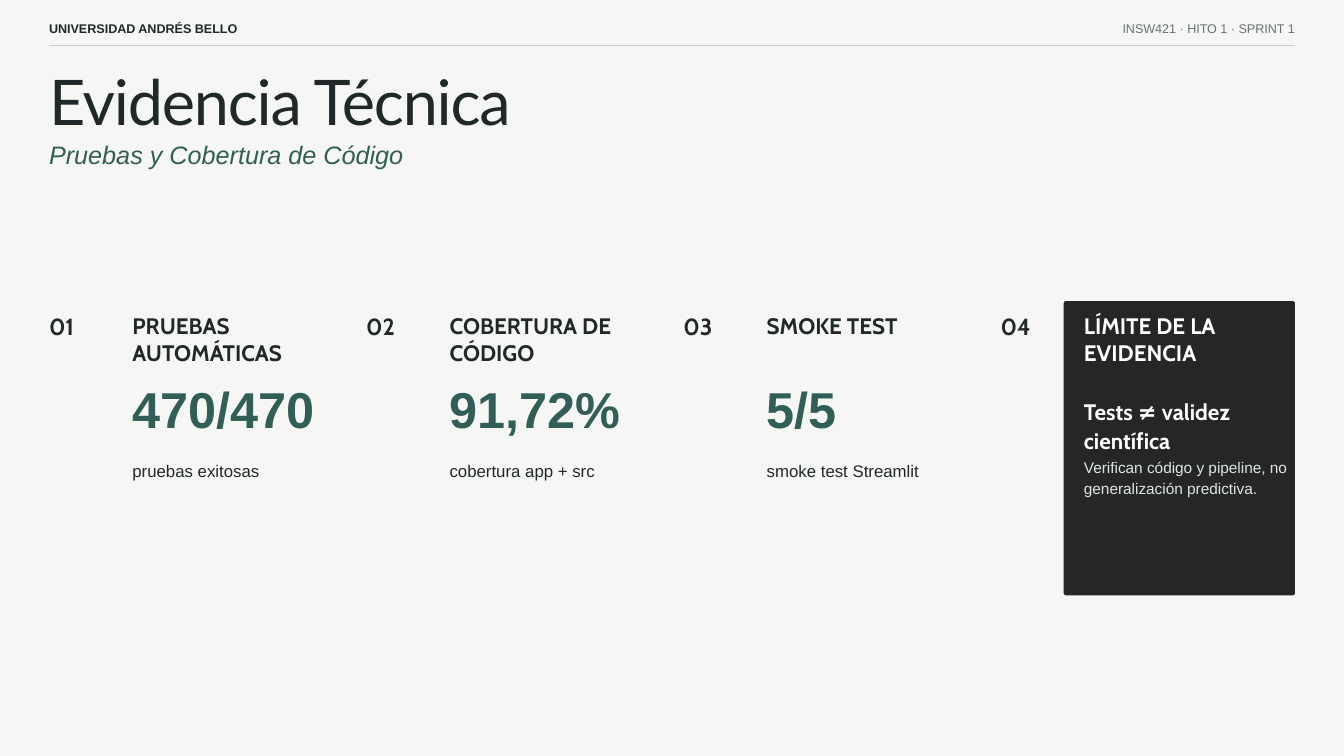
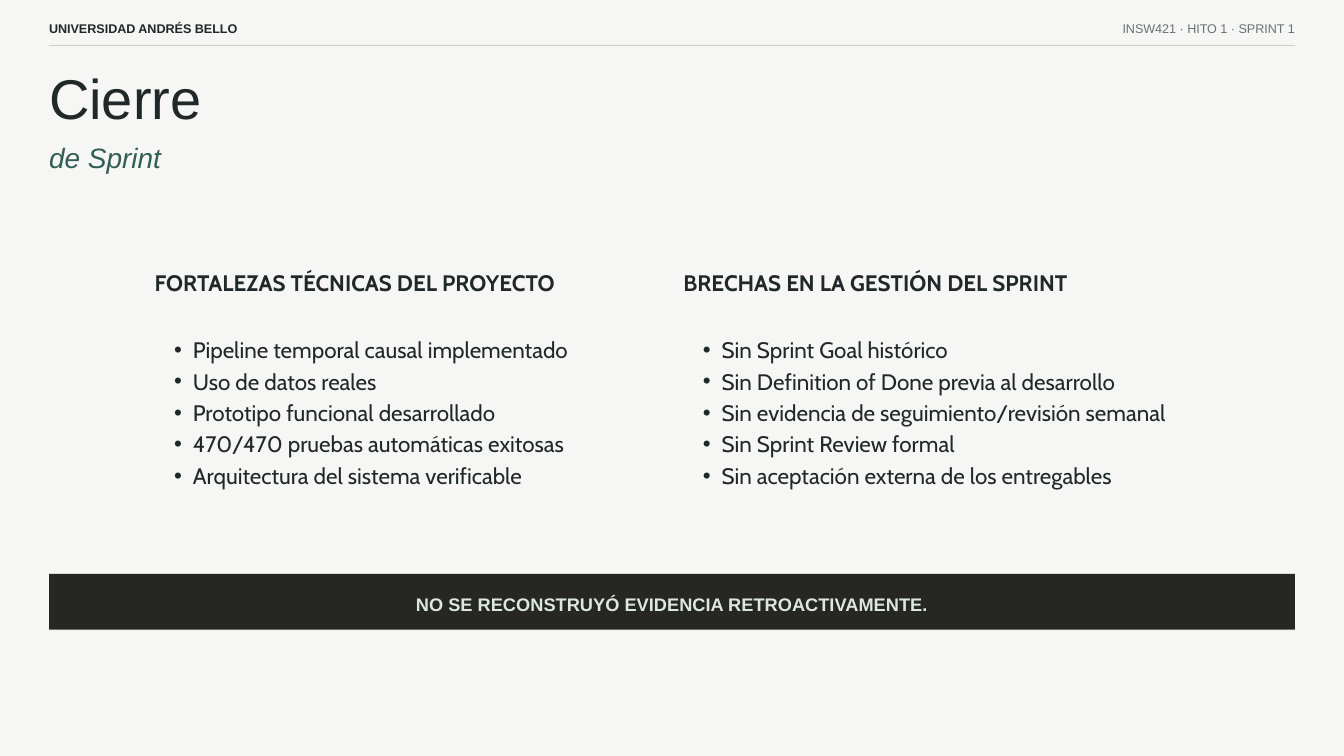
from dataclasses import dataclass

from lxml import etree
from pptx import Presentation
from pptx import util as u
from pptx.dml.color import RGBColor
from pptx.enum import shapes, text
from pptx.oxml.ns import qn
from pptx.util import Inches

# Content
HEADER = ("UNIVERSIDAD ANDRÉS BELLO", "INSW421 · HITO 1 · SPRINT 1")

EVIDENCE = {
    "title": "Evidencia Técnica",
    "subtitle": "Pruebas y Cobertura de Código",
    "metrics": [
        ("PRUEBAS AUTOMÁTICAS", "470/470", "pruebas exitosas"),
        ("COBERTURA DE CÓDIGO", "91,72%", "cobertura app + src"),
        ("SMOKE TEST", "5/5", "smoke test Streamlit"),
    ],
    "limit": ("LÍMITE DE LA EVIDENCIA", "Tests ≠ validez científica",
              "Verifican código y pipeline, no generalización predictiva."),
}

CLOSING = {
    "title": "Cierre",
    "subtitle": "de Sprint",
    "lists": [
        ("FORTALEZAS TÉCNICAS DEL PROYECTO", [
            "Pipeline temporal causal implementado",
            "Uso de datos reales",
            "Prototipo funcional desarrollado",
            "470/470 pruebas automáticas exitosas",
            "Arquitectura del sistema verificable",
        ]),
        ("BRECHAS EN LA GESTIÓN DEL SPRINT", [
            "Sin Sprint Goal histórico",
            "Sin Definition of Done previa al desarrollo",
            "Sin evidencia de seguimiento/revisión semanal",
            "Sin Sprint Review formal",
            "Sin aceptación externa de los entregables",
        ]),
    ],
    "banner": "NO SE RECONSTRUYÓ EVIDENCIA RETROACTIVAMENTE.",
}


# Theme
@dataclass(frozen=True)
class Style:
    font: str
    size: float
    line: float
    color: str
    bold: bool = False
    italic: bool = False
    tracking: float = 0
    align: text.PP_ALIGN = text.PP_ALIGN.LEFT


class Theme:
    paper, ink, green, dark = "F6F7F4", "20282A", "315E56", "262624"
    rule, gray, mint, white = "C7CFCB", "667276", "DCE7E2", "FFFFFF"

    school = Style("Arial", 13.5, 18.9, ink, bold=True)
    course = Style("Arial", 13.5, 18.9, gray, align=text.PP_ALIGN.RIGHT)
    title_evidence = Style("Lato", 67.4, 80.8, ink, tracking=-1.3)
    title_closing = Style("Arial", 60, 84, ink)
    subtitle_evidence = Style("Arial", 27, 37.8, green, italic=True)
    subtitle_closing = Style("Arial", 30, 42, green, italic=True)
    number = Style("Cabin", 25, 30, ink, bold=True)
    heading = Style("Cabin", 24, 28.8, ink, bold=True)
    figure = Style("Arial", 54, 75.6, green, bold=True)
    caption = Style("Arial", 18, 25.2, ink)
    limit_heading = Style("Cabin", 24, 28.8, white, bold=True)
    limit_claim = Style("Cabin", 24, 31.2, white, bold=True)
    limit_note = Style("Arial", 16.5, 23.1, mint)
    bullet = Style("Cabin", 24, 33.6, ink)
    banner = Style("Arial", 19.5, 27.3, mint, bold=True, align=text.PP_ALIGN.CENTER)


# Layout, in inches
PAGE_W, PAGE_H = 20, 11.25
MARGIN = 0.73
CONTENT_W = PAGE_W - 2 * MARGIN
RIGHT = PAGE_W - MARGIN


# Helpers
def rgb(value):
    return RGBColor.from_string(value)


def place(box, left, top, width, height):
    box.left, box.top = Inches(left), Inches(top)
    box.width, box.height = Inches(width), Inches(height)


def add_bullet(para):
    props = para._p.get_or_add_pPr()
    props.set("marL", str(Inches(0.57)))
    props.set("indent", str(Inches(-0.28)))
    etree.SubElement(props, qn("a:buFont")).set("typeface", "Arial")
    etree.SubElement(props, qn("a:buChar")).set("char", "•")


def write(box, wording, style, bulleted=False):
    frame = box.text_frame
    frame.text = wording
    frame.word_wrap = True
    frame.auto_size = text.MSO_AUTO_SIZE.NONE
    frame.vertical_anchor = text.MSO_ANCHOR.TOP
    frame.margin_left = frame.margin_right = 0
    frame.margin_top = frame.margin_bottom = 0
    for para in frame.paragraphs:
        if bulleted:
            add_bullet(para)
        para.alignment = style.align
        para.line_spacing = u.Pt(style.line)
        para.space_before = para.space_after = u.Pt(0)
        for span in para.runs:
            font = span.font
            font.name, font.size = style.font, u.Pt(style.size)
            font.bold, font.italic = style.bold, style.italic
            font.color.rgb = rgb(style.color)
            if style.tracking:
                span._r.get_or_add_rPr().set("spc", str(round(style.tracking * 100)))


def add_text(page, wording, style, left, top, width, height):
    box = page.shapes.add_textbox(0, 0, 0, 0)
    place(box, left, top, width, height)
    write(box, wording, style)


def add_panel(page, kind, left, top, width, height):
    panel = page.shapes.add_shape(kind, 0, 0, 0, 0)
    place(panel, left, top, width, height)
    panel.shadow.inherit = False
    panel.fill.solid()
    panel.fill.fore_color.rgb = rgb(Theme.dark)
    panel.line.fill.background()
    return panel


def add_page(deck, layout, title, title_style, title_top, subtitle, subtitle_style):
    """Add a page with its background, running header, title and subtitle."""
    page = deck.slides.add_slide(deck.slide_layouts[layout])
    page.background.fill.solid()
    page.background.fill.fore_color.rgb = rgb(Theme.paper)

    school, course = HEADER
    header_w = 5.21
    add_text(page, school, Theme.school, MARGIN, 0.27, header_w, 0.26)
    add_text(page, course, Theme.course, RIGHT - header_w, 0.27, header_w, 0.26)
    rule = page.shapes.add_connector(
        shapes.MSO_CONNECTOR.STRAIGHT,
        Inches(MARGIN), Inches(0.68), Inches(RIGHT), Inches(0.68))
    rule.line.color.rgb = rgb(Theme.rule)
    rule.line.width = u.Pt(1.5)
    etree.SubElement(rule._element.spPr, qn("a:effectLst"))

    place(page.shapes.title, MARGIN, title_top, CONTENT_W, 1.14)
    write(page.shapes.title, title, title_style)
    add_text(page, subtitle, subtitle_style, MARGIN, 2, CONTENT_W, 0.55)
    return page


# Slides
def build_evidence(deck):
    page = add_page(deck, 5, EVIDENCE["title"], Theme.title_evidence, 0.93,
                    EVIDENCE["subtitle"], Theme.subtitle_evidence)
    top, pitch, text_offset, text_w = 4.65, 4.72, 1.24, 3.15
    columns = [MARGIN + pitch * i for i in range(4)]

    card_left = 15.83
    card = add_panel(page, shapes.MSO_SHAPE.ROUNDED_RECTANGLE,
                     card_left, 4.48, RIGHT - card_left, 4.38)
    card.adjustments[0] = 0.01

    for number, left in enumerate(columns, 1):
        add_text(page, f"{number:02}", Theme.number, left, top, 0.68, 0.41)

    metric_rows = [(Theme.heading, top, 0.79), (Theme.figure, 5.48, 1.04),
                   (Theme.caption, 6.81, 0.36)]
    limit_rows = [(Theme.limit_heading, top, 0.79), (Theme.limit_claim, 5.89, 0.84),
                  (Theme.limit_note, 6.77, 0.64)]
    blocks = [(metric, metric_rows) for metric in EVIDENCE["metrics"]]
    blocks.append((EVIDENCE["limit"], limit_rows))
    for left, (wordings, rows) in zip(columns, blocks):
        for wording, (style, row_top, height) in zip(wordings, rows):
            add_text(page, wording, style, left + text_offset, row_top, text_w, height)


def build_closing(deck):
    page = add_page(deck, 4, CLOSING["title"], Theme.title_closing, 0.78,
                    CLOSING["subtitle"], Theme.subtitle_closing)

    # Each column fills one heading and one list placeholder
    slots = {slot.placeholder_format.idx: slot for slot in page.placeholders}
    for i, (heading, items) in enumerate(CLOSING["lists"]):
        left = 2.3 + 7.87 * i
        heading_box, list_box = slots[1 + 2 * i], slots[2 + 2 * i]
        place(heading_box, left, 4, 7.53, 0.4)
        write(heading_box, heading, Theme.heading)
        place(list_box, left, 4.94, 7.53, 2.5)
        write(list_box, "\n".join(items), Theme.bullet, bulleted=True)

    add_panel(page, shapes.MSO_SHAPE.RECTANGLE, MARGIN, 8.54, CONTENT_W, 0.83)
    add_text(page, CLOSING["banner"], Theme.banner, MARGIN, 8.77, CONTENT_W, 0.38)


def main():
    deck = Presentation()
    deck.slide_width, deck.slide_height = Inches(PAGE_W), Inches(PAGE_H)
    build_evidence(deck)
    build_closing(deck)
    deck.save("out.pptx")


if __name__ == "__main__":
    main()
